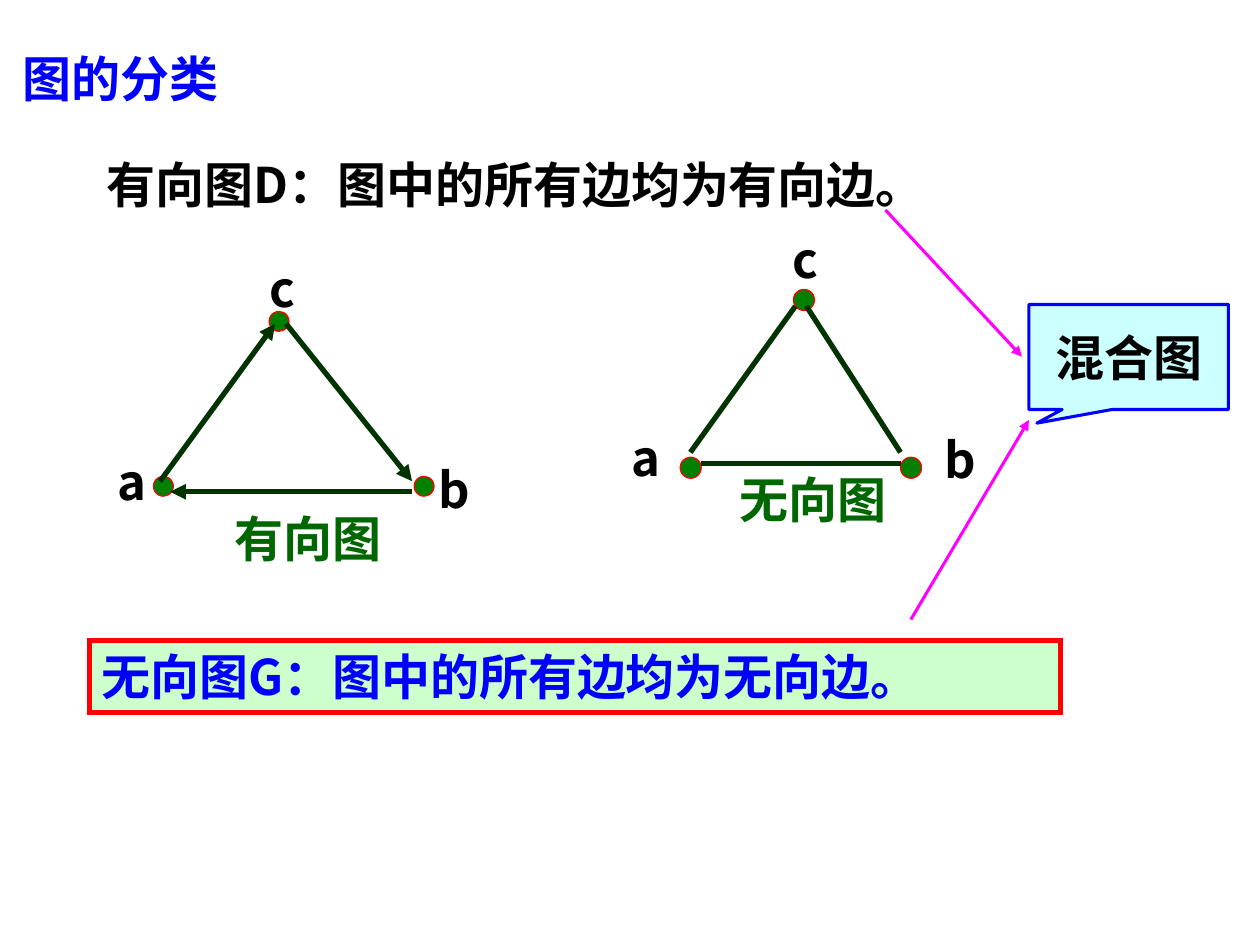
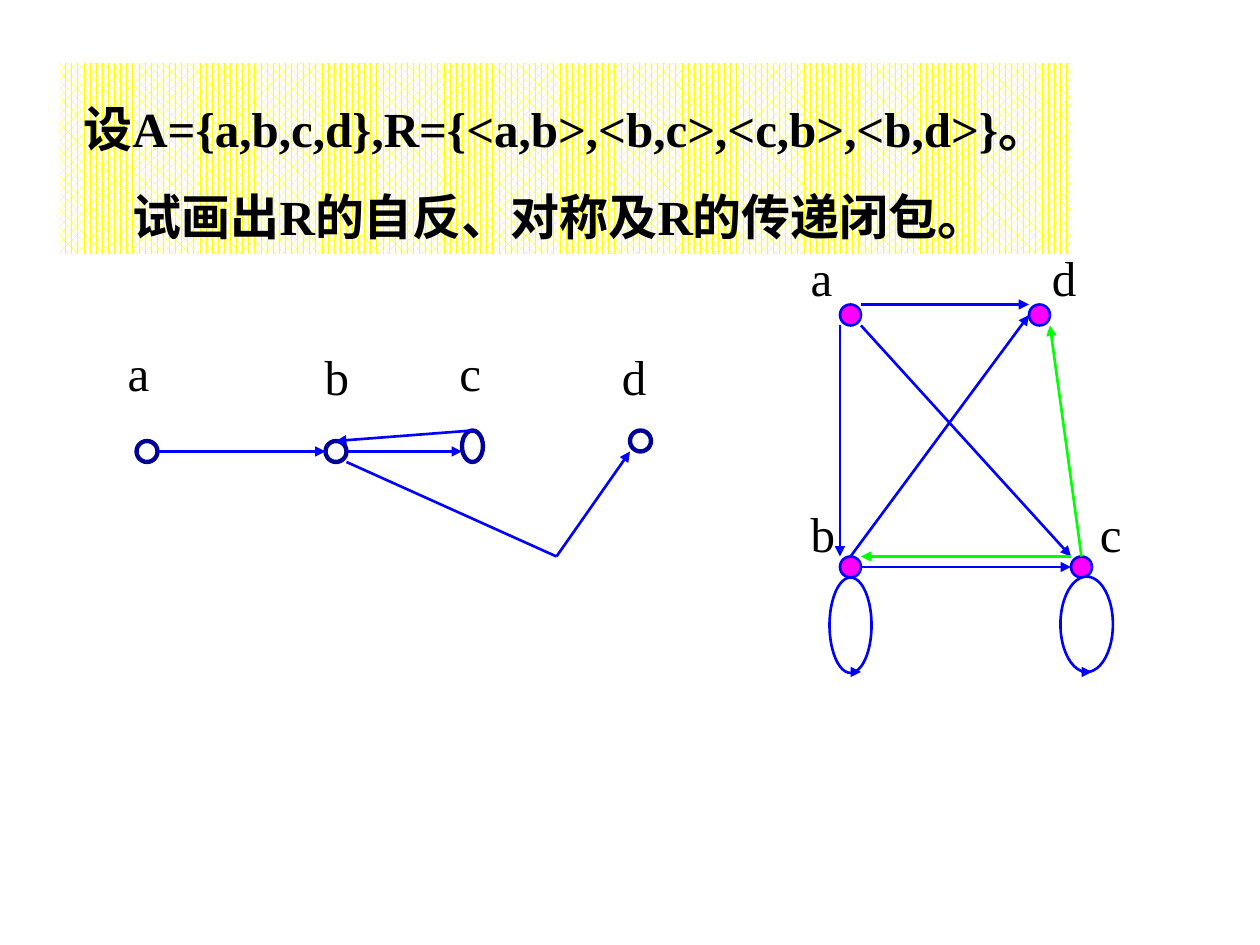
from dataclasses import dataclass

from lxml import etree
from pptx import Presentation
from pptx import util as u
from pptx.dml.color import RGBColor
from pptx.enum import dml, shapes, text
from pptx.oxml.ns import qn


@dataclass(frozen=True)
class Theme:
    """Colours, fonts and sizes shared by the slides."""

    sans: str = "Noto Sans CJK SC"
    serif: str = "Times New Roman"
    size: float = 28
    black: str = "000000"
    white: str = "FFFFFF"
    blue: str = "0000FF"
    navy: str = "000099"
    red: str = "FF0000"
    magenta: str = "FF00FF"
    lime: str = "00FF00"
    yellow: str = "FFFF00"
    node: str = "008000"
    edge: str = "003300"
    caption: str = "006600"
    mint: str = "CCFFCC"
    aqua: str = "CCFFFF"


T = Theme()
OVAL = shapes.MSO_SHAPE.OVAL
RECT = shapes.MSO_SHAPE.RECTANGLE
CALLOUT = shapes.MSO_SHAPE.RECTANGULAR_CALLOUT
LEFT, CENTER = text.PP_ALIGN.LEFT, text.PP_ALIGN.CENTER


def rgb(color):
    """Turn a hex string into a colour."""
    return RGBColor.from_string(color)


def write(sp, lines, color=T.black, font=T.sans, bold=True, align=LEFT,
          wrap=False, grow=True, anchor=text.MSO_ANCHOR.TOP, spacing=None):
    """Fill a shape with one paragraph for each line."""
    tf = sp.text_frame
    tf.word_wrap = wrap
    tf.vertical_anchor = anchor
    if grow:
        tf.auto_size = text.MSO_AUTO_SIZE.SHAPE_TO_FIT_TEXT
    for i, line in enumerate(lines):
        p = tf.add_paragraph() if i else tf.paragraphs[0]
        p.alignment = align
        p.line_spacing = spacing
        r = p.add_run()
        r.text = line
        r.font.name, r.font.size, r.font.bold = font, u.Pt(T.size), bold
        r.font.color.rgb = rgb(color)
        ea = etree.SubElement(r.font._element, qn("a:ea"))
        ea.set("typeface", T.sans)


@dataclass
class Region:
    """A part of a slide whose contents are placed from its corner."""

    s: object
    left: float = 0
    top: float = 0

    def at(self, x, y):
        """Give the slide position of a point in the region."""
        return u.Pt(self.left + x), u.Pt(self.top + y)

    def text(self, x, y, w, h, line, **style):
        """Add a text box."""
        sp = self.s.shapes.add_textbox(*self.at(x, y), u.Pt(w), u.Pt(h))
        write(sp, [line], **style)

    def shape(self, kind, x, y, w, h, fill=None, line=None, width=1.5):
        """Add a flat preset shape."""
        sp = self.s.shapes.add_shape(kind, *self.at(x, y), u.Pt(w), u.Pt(h))
        sp.shadow.inherit = False
        if fill:
            sp.fill.solid()
            sp.fill.fore_color.rgb = rgb(fill)
        else:
            sp.fill.background()
        if line:
            sp.line.color.rgb = rgb(line)
            sp.line.width = u.Pt(width)
        else:
            sp.line.fill.background()
        return sp

    def line(self, start, end, color=T.blue, width=1.5, arrow=True):
        """Add a straight line, with an arrowhead at its end if asked."""
        c = self.s.shapes.add_connector(
            shapes.MSO_CONNECTOR.STRAIGHT, *self.at(*start), *self.at(*end))
        c.line.color.rgb = rgb(color)
        c.line.width = u.Pt(width)
        if arrow:
            etree.SubElement(c.line._get_or_add_ln(), qn("a:tailEnd"), type="triangle")
        etree.SubElement(c._element.spPr, qn("a:effectLst"))


def triangle(area, labels, dots, dot, edges, caption, directed):
    """Draw a captioned graph on three nodes."""
    for name, (x, y) in labels.items():
        area.text(x, y, 27, 41, name)
    for x, y in dots:
        area.shape(OVAL, x, y, dot, dot, T.node, T.red, 0.75)
    for start, end in edges:
        area.line(start, end, T.edge, 3, directed)
    name, x, y = caption
    area.text(x, y, 100, 41, name, color=T.caption)


def serif_labels(area, labels):
    """Name the nodes of a relation graph."""
    for name, (x, y) in labels.items():
        area.text(x, y, 28, 57.5, name, font=T.serif, bold=False, align=CENTER)


def chain(area):
    """Draw the graph of the relation."""
    for x, y, h in ((12, 60, 12), (120, 60, 12), (198, 54, 18), (294, 54, 12)):
        area.shape(OVAL, x, y, 12, h, line=T.navy, width=2.5)
    serif_labels(area, {"a": (-0.8, 0.3), "b": (112.4, 2.5),
                        "c": (188.7, 0.3), "d": (282.3, 2.5)})
    bend = (252, 126)
    for start, end in (((24, 66), (120, 66)), ((132, 66), (198, 66)),
                       ((204, 54), (126, 60)), ((132, 72), bend), (bend, (294, 66))):
        area.line(start, end, arrow=end != bend)


def closure(area):
    """Draw the square graph with two loops."""
    serif_labels(area, {"a": (-0.5, 0), "b": (0.2, 146.2),
                        "d": (138, 0), "c": (164.7, 146.2)})
    for x, y in ((24, 36), (24, 180), (132, 36), (156, 180)):
        area.shape(OVAL, x, y, 12, 12, T.magenta, T.blue)
    for x, y, w, tip in ((18, 192, 24, 30), (150, 191.5, 30, 162)):
        area.shape(OVAL, x, y, w, 54.5, T.white, T.blue)
        area.line((tip, 246), (tip + 6, 246))
    for start, end in (((24, 48), (24, 180)), ((36, 48), (156, 180)),
                       ((36, 36), (132, 36)), ((36, 186), (156, 186)),
                       ((30, 180), (132, 42))):
        area.line(start, end)
    for start, end in (((156, 180), (36, 180)), ((162, 180), (144, 48))):
        area.line(start, end, T.lime)


def mixed_callout(area):
    """Draw the callout and the two arrows that lead to it."""
    area.line((0, 0), (78, 83.8), T.magenta, 1.75)
    area.line((14.5, 234), (82, 120), T.magenta, 1.75)
    sp = area.shape(CALLOUT, 82, 54, 114, 60, T.aqua, T.blue, 1.75)
    sp.adjustments[0], sp.adjustments[1] = -0.46, 0.63
    write(sp, ["混合图"], align=CENTER, wrap=True, grow=False,
          anchor=text.MSO_ANCHOR.MIDDLE)


def kinds_slide(s):
    """Build the slide on kinds of graphs."""
    page = Region(s)
    page.text(54, 85, 527, 41, "有向图D：图中的所有边均为有向边。", wrap=True)
    sp = page.shape(RECT, 51, 366, 555, 41, T.mint, T.red, 3)
    etree.SubElement(sp.line._get_or_add_ln(), qn("a:miter"), lim="800000")
    write(sp, ["无向图G：图中的所有边均为无向边。"], color=T.blue, wrap=True)
    triangle(Region(s, 60, 144),
             {"c": (87, 0), "a": (0, 110.3), "b": (183.5, 115.3)},
             ((176.7, 128.2), (27.7, 128.2), (93.8, 34)), 11.3,
             (((31.5, 131), (97.2, 41)), ((103.5, 41), (175.5, 131)),
              ((175.5, 137), (37.2, 137))),
             ("有向图", 67.2, 142.9), directed=True)
    triangle(Region(s, 354, 128),
             {"c": (91.5, -0.2), "a": (0, 112.5), "b": (178.8, 114)},
             ((160.6, 133.3), (34.7, 133.3), (99.4, 37.4)), 12,
             (((40.5, 130.5), (100.5, 47)), ((106.8, 47), (160.6, 130.5)),
              ((46.5, 137), (160.6, 137))),
             ("无向图", 61.5, 137), directed=False)
    page.text(6, 24, 150, 41, "图的分类", color=T.blue, wrap=True)
    mixed_callout(Region(s, 506, 120))


def closure_slide(s):
    """Build the slide with the closure exercise."""
    sp = Region(s).shape(RECT, 34, 36, 578, 109.2)
    sp.fill.patterned()
    sp.fill.pattern = dml.MSO_PATTERN.PERCENT_70
    sp.fill.fore_color.rgb = rgb(T.yellow)
    sp.fill.back_color.rgb = rgb(T.white)
    sp.text_frame.margin_left = sp.text_frame.margin_right = u.Pt(0)
    write(sp, ["设A={a,b,c,d},R={<a,b>,<b,c>,<c,b>,<b,d>}。",
               "试画出R的自反、对称及R的传递闭包。 "],
          font=T.serif, align=CENTER, spacing=1.5)
    chain(Region(s, 66, 192))
    closure(Region(s, 456, 138))


def main():
    """Build and save the presentation."""
    prs = Presentation()
    prs.slide_width, prs.slide_height = u.Pt(720), u.Pt(540)
    for build in (kinds_slide, closure_slide):
        build(prs.slides.add_slide(prs.slide_layouts[6]))
    prs.save("out.pptx")


if __name__ == "__main__":
    main()
